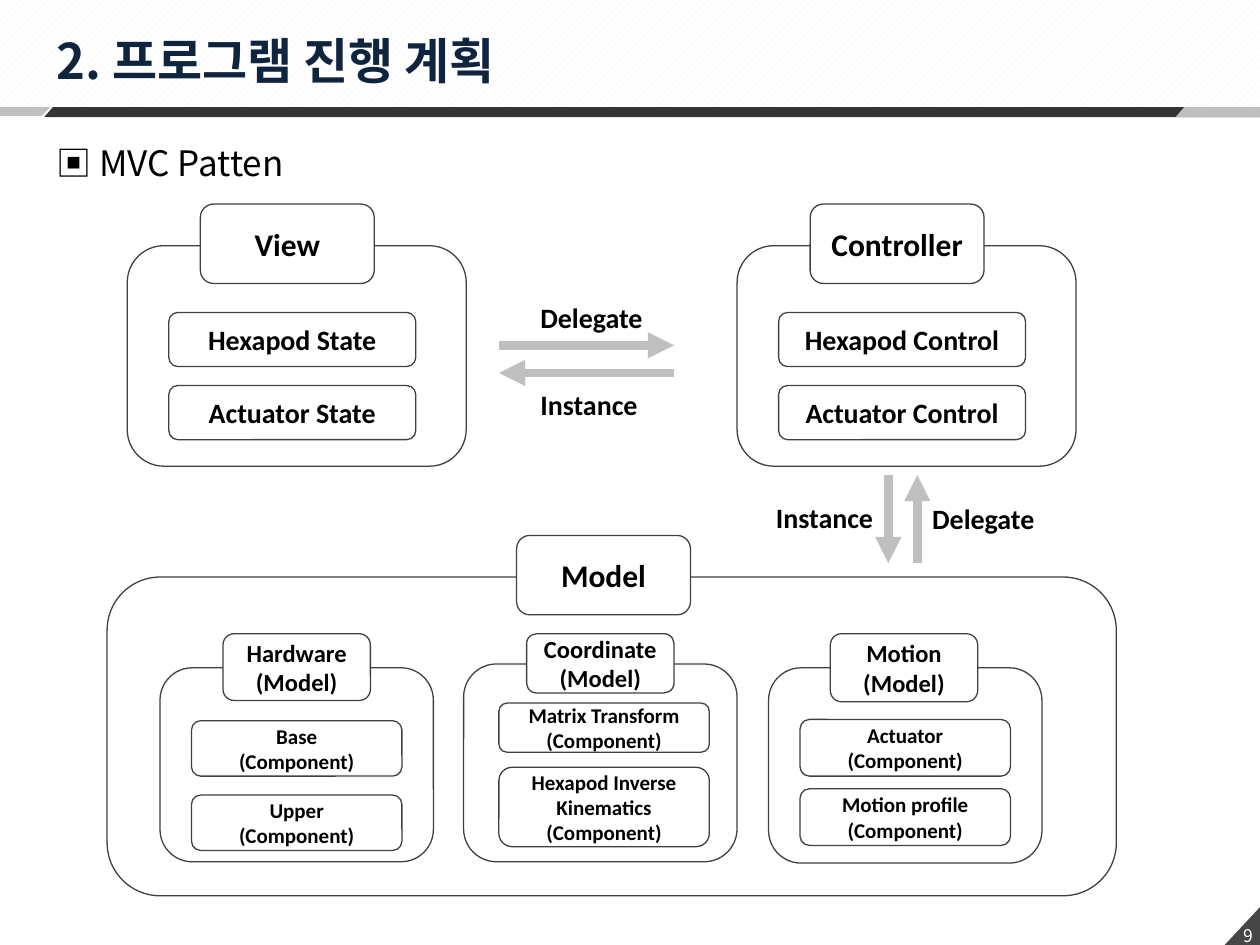
from lxml import etree
from pptx import Presentation
from pptx.dml.color import RGBColor
from pptx.enum.dml import MSO_PATTERN
from pptx.enum.shapes import MSO_CONNECTOR, MSO_SHAPE
from pptx.enum.text import MSO_ANCHOR, MSO_AUTO_SIZE, PP_ALIGN
from pptx.oxml.ns import qn
from pptx.util import Inches, Pt

STRIPES = MSO_PATTERN.WIDE_UPWARD_DIAGONAL
ROUNDED, RECT, TRIANGLE = MSO_SHAPE.ROUNDED_RECTANGLE, MSO_SHAPE.RECTANGLE, MSO_SHAPE.RIGHT_TRIANGLE
STRAIGHT = MSO_CONNECTOR.STRAIGHT
MIDDLE, GROW = MSO_ANCHOR.MIDDLE, MSO_AUTO_SIZE.SHAPE_TO_FIT_TEXT
LEFT, CENTER = PP_ALIGN.LEFT, PP_ALIGN.CENTER

WHITE = RGBColor(0xFF, 0xFF, 0xFF)
BLACK = RGBColor(0x00, 0x00, 0x00)
NAVY = RGBColor(0x0F, 0x24, 0x3E)
OUTLINE = RGBColor(0x40, 0x40, 0x40)
PALE = RGBColor(0xF2, 0xF2, 0xF2)
SILVER = RGBColor(0xBF, 0xBF, 0xBF)
DARK = RGBColor(0x35, 0x35, 0x35)
CORNER = RGBColor(0x46, 0x46, 0x46)
LATIN, KOREAN = "Calibri", "Noto Sans CJK KR"


def write(tf, lines, size, font=LATIN, color=BLACK, bold=True, align=CENTER):
    for i, line in enumerate(lines):
        p = tf.add_paragraph() if i else tf.paragraphs[0]
        p.alignment = align
        r = p.add_run()
        r.text = line
        r.font.size, r.font.bold, r.font.name = Pt(size), bold, font
        r.font.color.rgb = color
        etree.SubElement(r.font._element, qn("a:ea"), typeface=font)


def add_box(shapes, at, lines=(), size=12):
    sp = shapes.add_shape(ROUNDED, *map(Inches, at))
    sp.shadow.inherit = False
    sp.line.color.rgb, sp.line.width = OUTLINE, Pt(0.75)
    if lines:
        sp.fill.solid()
        sp.fill.fore_color.rgb = WHITE
        sp.text_frame.word_wrap = True
        sp.text_frame.vertical_anchor = MIDDLE
        write(sp.text_frame, lines, size)
    else:
        sp.fill.background()


prs = Presentation()
prs.slide_width, prs.slide_height = Inches(10), Inches(7.5)
s = prs.slides.add_slide(prs.slide_layouts[6])

# Header band
band = s.shapes.add_shape(RECT, 0, 0, Inches(10), Inches(0.92))
band.shadow.inherit = False
band.line.fill.background()
band.fill.patterned()
band.fill.pattern = STRIPES
band.fill.fore_color.rgb, band.fill.back_color.rgb = PALE, WHITE

# Slanted bars under the header
for color, points in [
    (SILVER, [(0, 0.85), (0.4, 0.85), (0.33, 0.92), (0, 0.92)]),
    (DARK, [(0.42, 0.85), (10, 0.85), (10, 0.93), (0.35, 0.93)]),
    (SILVER, [(9.4, 0.85), (10, 0.85), (10, 0.93), (9.33, 0.93)]),
]:
    points = [(Inches(x), Inches(y)) for x, y in points]
    builder = s.shapes.build_freeform(*points[0])
    builder.add_line_segments(points[1:], close=True)
    sp = builder.convert_to_shape()
    sp.shadow.inherit = False
    sp.fill.solid()
    sp.fill.fore_color.rgb = color
    sp.line.fill.background()

# Page corner
corner = s.shapes.add_shape(TRIANGLE, Inches(9.72), Inches(7.2), Inches(0.28), Inches(0.3))
corner.shadow.inherit = False
corner.fill.solid()
corner.fill.fore_color.rgb = CORNER
corner.line.fill.background()
corner._element.spPr.find(qn("a:xfrm")).set("flipH", "1")

# Panels: frame, title, title size, items, item size
component = "(Component)"
panels = [
    ((1.27, 5.3, 2.17, 1.54), (1.77, 5.03, 1.17, 0.53), ["Hardware", "(Model)"], 14,
     [((1.52, 5.72, 1.67, 0.44), ["Base", component]),
      ((1.52, 6.31, 1.67, 0.44), ["Upper", component])], 12),
    ((6.1, 5.3, 2.17, 1.55), (6.59, 5.03, 1.17, 0.54), ["Motion", "(Model)"], 14,
     [((6.35, 5.71, 1.67, 0.45), ["Actuator", component]),
      ((6.35, 6.26, 1.67, 0.45), ["Motion profile", component])], 12),
    ((3.68, 5.27, 2.17, 1.57), (4.18, 5.03, 1.17, 0.47), ["Coordinate", "(Model)"], 14,
     [((3.96, 5.58, 1.67, 0.39), ["Matrix Transform", component]),
      ((3.96, 6.09, 1.67, 0.63), ["Hexapod Inverse Kinematics", component])], 12),
    ((0.85, 4.58, 8.01, 2.53), (4.1, 4.25, 1.38, 0.63), ["Model"], 18, [], 16),
]
for x, title, suffix in [(1.01, "View", "State"), (5.85, "Controller", "Control")]:
    items = [((x + 0.33, y, 1.96, 0.43), [f"{part} {suffix}"])
             for part, y in [("Hexapod", 2.48), ("Actuator", 3.06)]]
    panels.append(((x, 1.95, 2.69, 1.75), (x + 0.58, 1.62, 1.38, 0.63), [title], 18, items, 16))

for frame, title_at, title, title_size, items, item_size in panels:
    group = s.shapes.add_group_shape()
    add_box(group.shapes, frame)
    add_box(group.shapes, title_at, title, title_size)
    for at, lines in items:
        add_box(group.shapes, at, lines, item_size)

# Arrows between the panels
for ends in [(3.96, 2.74, 5.35, 2.74), (5.35, 2.96, 3.96, 2.96),
             (7.05, 3.77, 7.05, 4.47), (7.28, 4.47, 7.28, 3.77)]:
    arrow = s.shapes.add_connector(STRAIGHT, *map(Inches, ends))
    arrow.line.color.rgb, arrow.line.width = SILVER, Pt(5)
    etree.SubElement(arrow.line._get_or_add_ln(), qn("a:tailEnd"), type="triangle")
    etree.SubElement(arrow._element.spPr, qn("a:effectLst"))

# Title, heading, page number and arrow labels
texts = [
    ((0.35, 0.19, 9.45, 0.57), "2. 프로그램 진행 계획", 28, KOREAN, NAVY, True, LEFT, True),
    ((0.35, 1.07, 2.31, 0.44), "▣ MVC Patten", 20, KOREAN, BLACK, False, LEFT, False),
    ((9.72, 7.29, 0.37, 0.27), "9", 10, KOREAN, WHITE, False, CENTER, False),
]
for x, y, label in [(4.19, 2.34, "Delegate"), (4.19, 3.03, "Instance"),
                    (6.06, 3.92, "Instance"), (7.3, 3.93, "Delegate")]:
    texts.append(((x, y, 1.02, 0.37), label, 16, LATIN, BLACK, True, LEFT, True))

for at, text, size, font, color, bold, align, wrap in texts:
    tf = s.shapes.add_textbox(*map(Inches, at)).text_frame
    tf.word_wrap, tf.auto_size = wrap, GROW
    write(tf, [text], size, font, color, bold, align)

prs.save("out.pptx")
